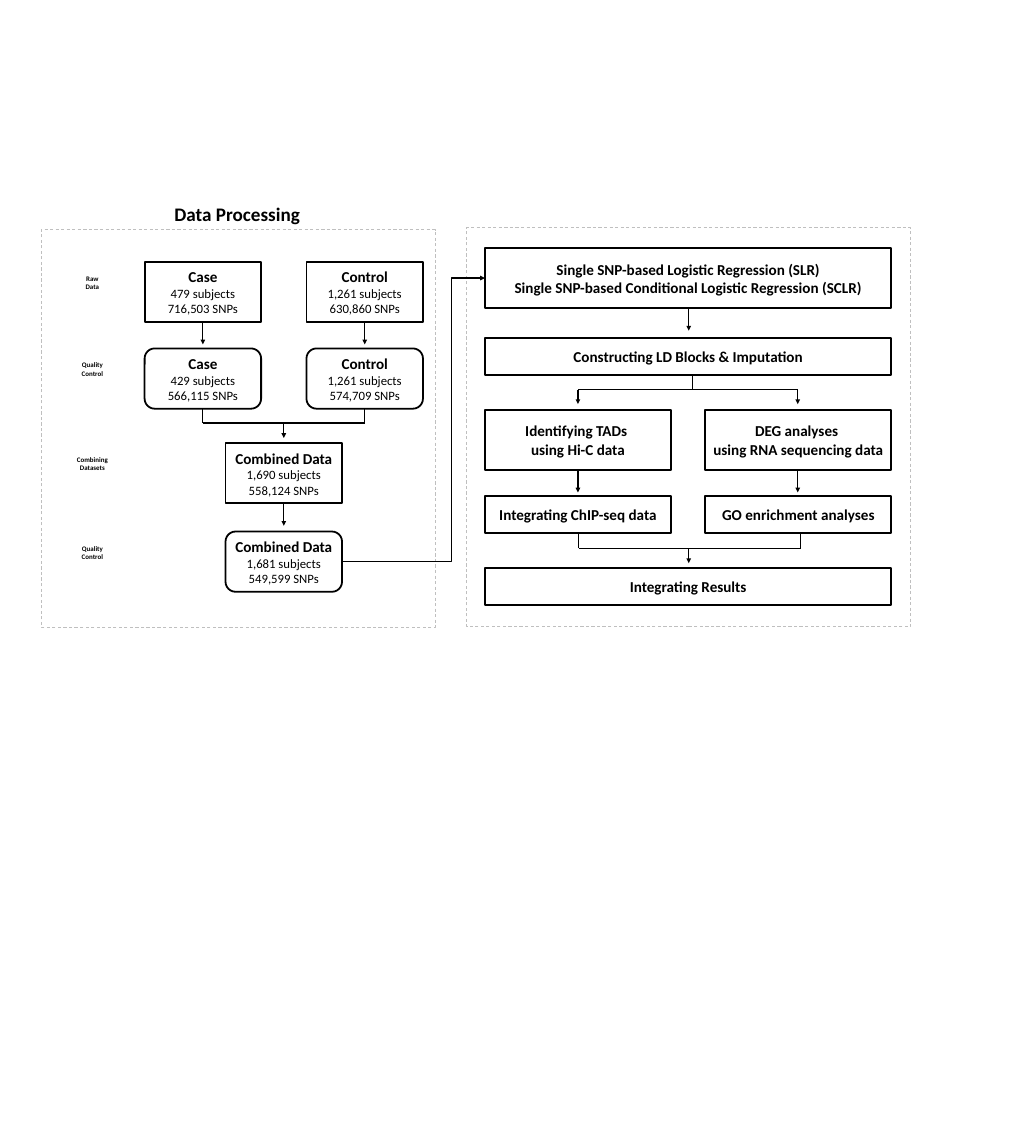
from lxml import etree
from pptx import Presentation
from pptx.dml.color import RGBColor
from pptx.enum.dml import MSO_LINE
from pptx.enum.shapes import MSO_CONNECTOR, MSO_SHAPE
from pptx.enum.text import MSO_ANCHOR, MSO_AUTO_SIZE, PP_ALIGN
from pptx.oxml.ns import qn
from pptx.util import Inches, Pt

BLACK = RGBColor(0, 0, 0)
GREY = RGBColor(0xBF, 0xBF, 0xBF)
FONT = "Calibri"
RECT, ROUND = MSO_SHAPE.RECTANGLE, MSO_SHAPE.ROUNDED_RECTANGLE
STRAIGHT, ELBOW = MSO_CONNECTOR.STRAIGHT, MSO_CONNECTOR.ELBOW
CENTER, JUSTIFY = PP_ALIGN.CENTER, PP_ALIGN.JUSTIFY
TALL, LOW = 1.05, 0.65
CARD = 2.03


def write(par, text, size, bold=True, align=CENTER):
    par.text = text
    par.alignment = align
    font = par.font
    font.name, font.size, font.bold = FONT, Pt(size), bold
    font.color.rgb = BLACK


def add_frame(slide, x, y, w, h, kind=RECT, color=BLACK, width=2.25):
    shape = slide.shapes.add_shape(kind, *map(Inches, (x, y, w, h)))
    shape.shadow.inherit = False
    shape.fill.background()
    shape.line.color.rgb = color
    shape.line.width = Pt(width)
    return shape


def add_panel(slide, x, y, w, h):
    add_frame(slide, x, y, w, h, color=GREY, width=1).line.dash_style = MSO_LINE.DASH


def add_step(slide, x, y, w, h, heads, facts=(), kind=RECT):
    """Outlined box with bold heading paragraphs above plain fact paragraphs."""
    frame = add_frame(slide, x, y, w, h, kind).text_frame
    frame.word_wrap = True
    frame.vertical_anchor = MSO_ANCHOR.MIDDLE
    lines = [(text, 19, True) for text in heads] + [(text, 16, False) for text in facts]
    for i, (text, size, bold) in enumerate(lines):
        par = frame.add_paragraph() if i else frame.paragraphs[0]
        write(par, text, size, bold)


def add_label(slide, x, y, w, h, text, size, align=CENTER):
    box = slide.shapes.add_textbox(*map(Inches, (x, y, w, h)))
    box.text_frame.word_wrap = False
    box.text_frame.auto_size = MSO_AUTO_SIZE.SHAPE_TO_FIT_TEXT
    write(box.text_frame.paragraphs[0], text, size, align=align)


def add_wire(slide, x1, y1, x2, y2, arrow=False, kind=STRAIGHT):
    wire = slide.shapes.add_connector(kind, *map(Inches, (x1, y1, x2, y2)))
    wire.line.color.rgb = BLACK
    wire.line.width = Pt(1.5)
    if arrow:
        etree.SubElement(wire.line._get_or_add_ln(), qn("a:tailEnd"), type="triangle")
    etree.SubElement(wire._element.spPr, qn("a:effectLst"))
    return wire


def add_join(slide, left, right, mid, top, bar, tip):
    """Two stems meeting on a bar, with one arrow down from it."""
    for x in (left, right):
        add_wire(slide, x, top, x, bar)
    add_wire(slide, left, bar, right, bar)
    add_wire(slide, mid, bar, mid, tip, True)


def add_fork(slide, left, right, mid, top, bar, tip):
    """One stem down to a bar, with two arrows down from it."""
    add_wire(slide, mid, top, mid, bar)
    add_wire(slide, left, bar, right, bar)
    for x in (left, right):
        add_wire(slide, x, bar, x, tip, True)


def draw_data(slide, x, y, w, h):
    add_panel(slide, x, y, w, h)
    add_label(slide, x + 2.22, y - 0.52, 2.41, 0.5, "Data Processing", 24, JUSTIFY)
    case, control, both = x + 1.8, x + 4.62, x + 3.21
    raw, clean, merged, final = rows = [y + dy for dy in (0.56, 2.07, 3.72, 5.26)]
    names = ("Raw\vData", "Quality\vControl", "Combining\vDatasets", "Quality\vControl")
    for top, name in zip(rows, names):
        add_label(slide, x + 0.5, top + 0.17, 0.78, 0.4, name, 8.7)
    cards = (
        (case, raw, RECT, "Case", "479", "716,503"),
        (control, raw, RECT, "Control", "1,261", "630,860"),
        (case, clean, ROUND, "Case", "429", "566,115"),
        (control, clean, ROUND, "Control", "1,261", "574,709"),
        (both, merged, RECT, "Combined Data", "1,690", "558,124"),
        (both, final, ROUND, "Combined Data", "1,681", "549,599"),
    )
    for left, top, kind, head, people, snps in cards:
        facts = (f"{people} subjects", f"{snps} SNPs")
        add_step(slide, left, top, CARD, TALL, [head], facts, kind)
    half = CARD / 2
    for left, top in ((case, raw), (control, raw), (both, merged)):
        foot = top + TALL
        add_wire(slide, left + half, foot, left + half, foot + 0.39, True)
    foot = clean + TALL
    add_join(slide, case + half, control + half, both + half, foot, foot + 0.25, foot + 0.51)
    return both + CARD, final + TALL / 2


def draw_analysis(slide, x, y, w, h):
    add_panel(slide, x, y, w, h)
    left, right = x + 0.32, x + 4.16
    wide, slim = 7.08, 3.24
    model, block, split, detail, result = [y + dy for dy in (0.35, 1.92, 3.17, 4.67, 5.92)]
    steps = (
        (left, model, wide, TALL, "Single SNP-based Logistic Regression (SLR)",
         "Single SNP-based Conditional Logistic Regression (SCLR)"),
        (left, block, wide, LOW, "Constructing LD Blocks & Imputation"),
        (left, split, slim, TALL, "Identifying TADs \vusing Hi-C data"),
        (right, split, slim, TALL, "DEG analyses \vusing RNA sequencing data"),
        (left, detail, slim, LOW, "Integrating ChIP-seq data"),
        (right, detail, slim, LOW, "GO enrichment analyses"),
        (left, result, wide, LOW, "Integrating Results"),
    )
    for col, top, width, height, *heads in steps:
        add_step(slide, col, top, width, height, heads)
    one, two, mid = x + 1.94, x + 5.77, x + 3.87
    for col, top in ((mid, model), (one, split), (two, split)):
        foot = top + TALL
        add_wire(slide, col, foot, col, foot + 0.39, True)
    foot = block + LOW
    add_fork(slide, one, two, x + 3.94, foot, foot + 0.25, foot + 0.5)
    foot = detail + LOW
    add_join(slide, one + 0.01, two + 0.05, mid, foot, foot + 0.26, foot + 0.52)
    return left, model + TALL / 2


def link(slide, start, end):
    """Elbow arrow between the panels, bent at 76.8 % of its width."""
    wire = add_wire(slide, *start, *end, True, ELBOW)
    guides = wire._element.spPr.find(qn("a:prstGeom")).get_or_add_avLst()
    etree.SubElement(guides, qn("a:gd"), name="adj1", fmla="val 76800")


def main():
    deck = Presentation()
    deck.slide_width, deck.slide_height = Inches(17.72), Inches(20)
    slide = deck.slides.add_slide(deck.slide_layouts[6])
    start = draw_data(slide, 0.72, 4, 6.86, 6.93)
    end = draw_analysis(slide, 8.13, 3.97, 7.74, 6.95)
    link(slide, start, end)
    deck.save("out.pptx")


if __name__ == "__main__":
    main()
